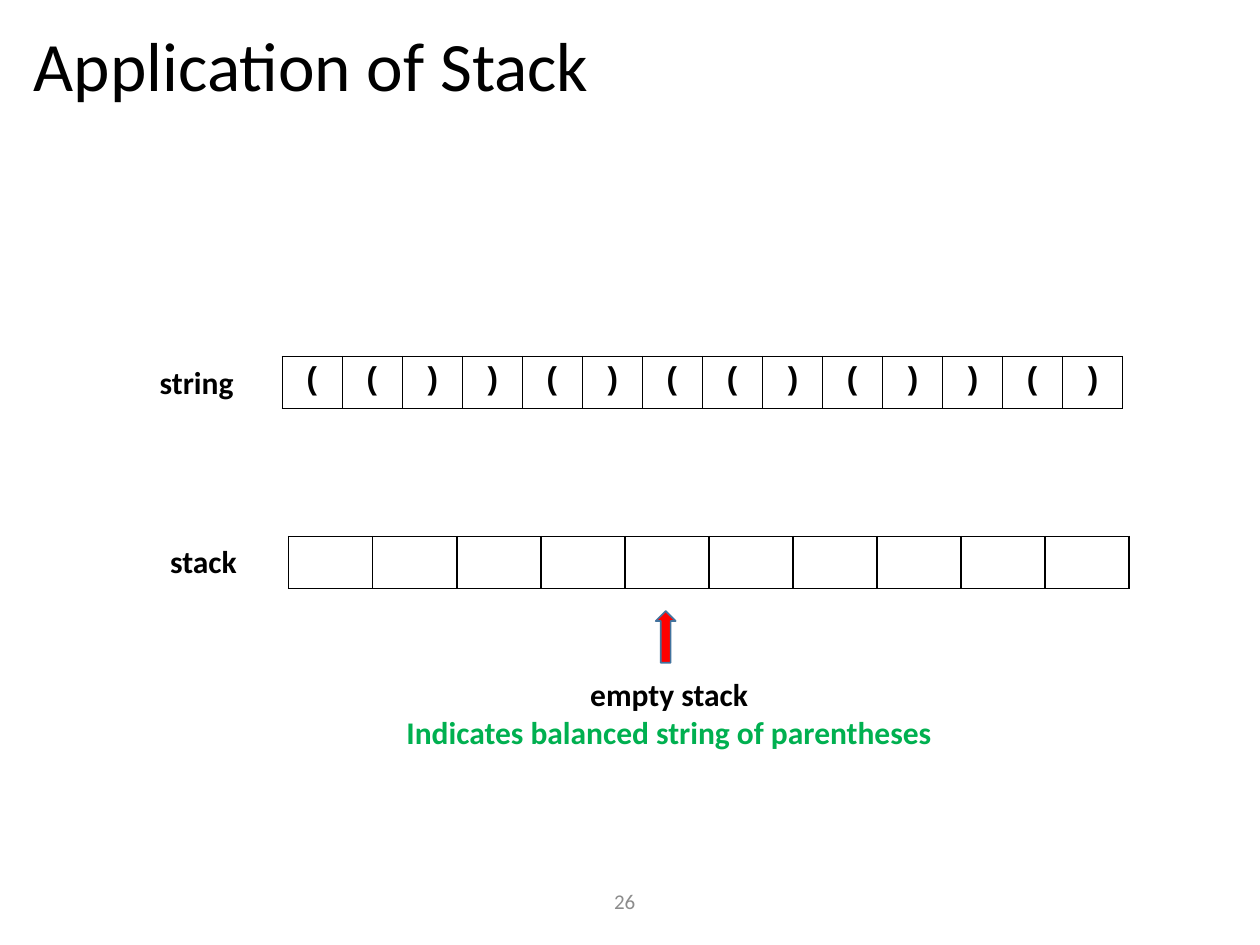
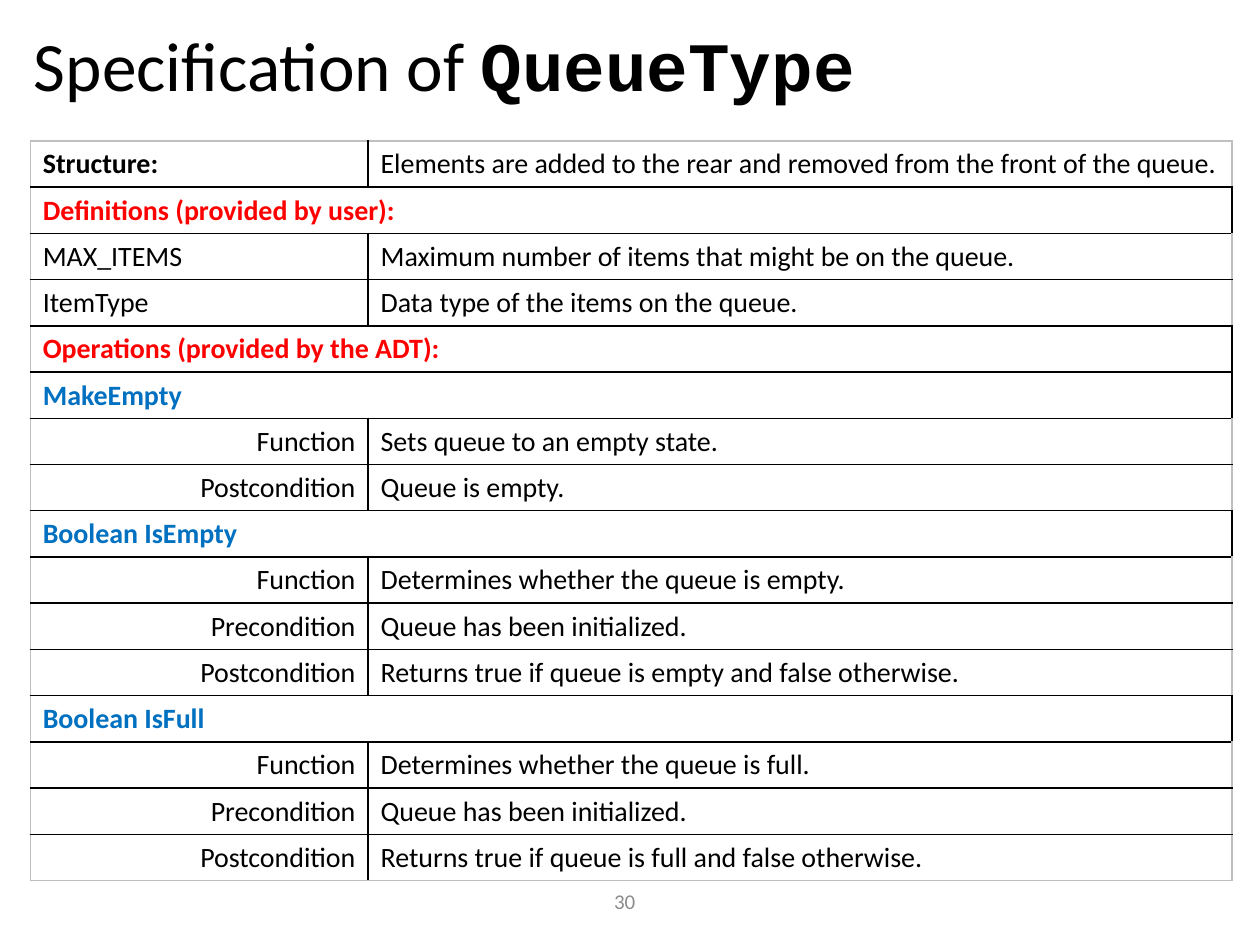
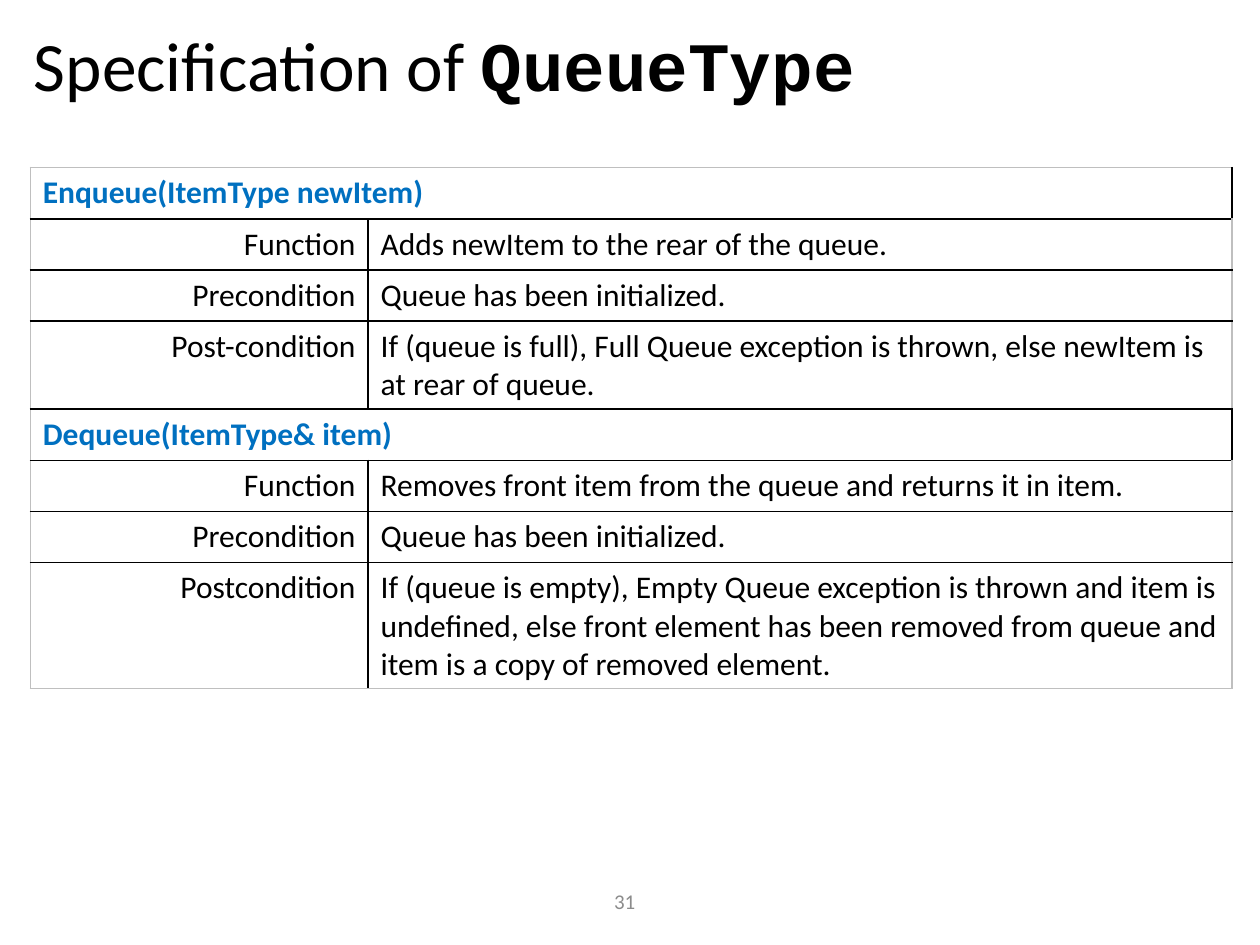
from dataclasses import dataclass

from lxml import etree
from pptx import Presentation
from pptx.dml.color import RGBColor
from pptx.enum.shapes import MSO_SHAPE
from pptx.enum.text import MSO_ANCHOR, MSO_AUTO_SIZE, PP_ALIGN
from pptx.oxml.ns import qn
from pptx.util import Cm, Pt

LEFT, CENTER, RIGHT = PP_ALIGN.LEFT, PP_ALIGN.CENTER, PP_ALIGN.RIGHT
TOP, MIDDLE = MSO_ANCHOR.TOP, MSO_ANCHOR.MIDDLE
NO_AUTOFIT = MSO_AUTO_SIZE.NONE
UP_ARROW = MSO_SHAPE.UP_ARROW
TITLE_ONLY = 5


@dataclass(frozen=True)
class Theme:
    body_font: str = "Calibri"
    code_font: str = "Courier New"
    black: str = "000000"
    red: str = "FF0000"
    blue: str = "0070C0"
    green: str = "00B050"
    footer_gray: str = "8C8C8C"
    frame_gray: str = "BFBFBF"
    arrow_outline: str = "43739E"
    title_size: float = 39.6
    text_size: int = 18
    compact_size: int = 16
    footer_size: int = 12
    line_width: int = 1


THEME = Theme()

PARENTHESES = "(())()(()())()"
STACK_CAPACITY = 10
ARRAY_WIDTH = 16.94
ARRAY_HEIGHT = 1.04
SPECIFICATION_LEFT = 0.61
SPECIFICATION_COLUMNS = (6.81, 17.42)

DEFINITION_ROWS = [
    ("Structure:", "Elements are added to the rear and removed from the front of the queue."),
    ("Definitions (provided by user):", None),
    ("MAX_ITEMS", "Maximum number of items that might be on the queue."),
    ("ItemType", "Data type of the items on the queue."),
    ("Operations (provided by the ADT):", None),
    ("MakeEmpty", None),
    ("Function", "Sets queue to an empty state."),
    ("Postcondition", "Queue is empty."),
    ("Boolean IsEmpty", None),
    ("Function", "Determines whether the queue is empty."),
    ("Precondition", "Queue has been initialized."),
    ("Postcondition", "Returns true if queue is empty and false otherwise."),
    ("Boolean IsFull", None),
    ("Function", "Determines whether the queue is full."),
    ("Precondition", "Queue has been initialized."),
    ("Postcondition", "Returns true if queue is full and false otherwise."),
]

OPERATION_ROWS = [
    ("Enqueue(ItemType newItem)", None),
    ("Function", "Adds newItem to the rear of the queue."),
    ("Precondition", "Queue has been initialized."),
    ("Post-condition", "If (queue is full), Full Queue exception is thrown, "
     "else newItem is at rear of queue."),
    ("Dequeue(ItemType& item)", None),
    ("Function", "Removes front item from the queue and returns it in item."),
    ("Precondition", "Queue has been initialized."),
    ("Postcondition", "If (queue is empty), Empty Queue exception is thrown and item is "
     "undefined, else front element has been removed from queue and item is a copy of "
     "removed element."),
]

CONDITION_LABELS = {"Function", "Precondition", "Postcondition", "Post-condition"}


def format_paragraph(paragraph, size, color=THEME.black, bold=False,
                     alignment=LEFT, font_name=THEME.body_font):
    paragraph.alignment = alignment
    paragraph.font.name = font_name
    paragraph.font.size = Pt(size)
    paragraph.font.bold = bold
    paragraph.font.color.rgb = RGBColor.from_string(color)


def add_text(slide, box, lines, size=THEME.text_size, bold=True,
             alignment=LEFT, anchor=TOP):
    frame = slide.shapes.add_textbox(*map(Cm, box)).text_frame
    frame.word_wrap = True
    frame.vertical_anchor = anchor
    frame.text = "\n".join(text for text, _ in lines)
    for paragraph, (_, color) in zip(frame.paragraphs, lines):
        format_paragraph(paragraph, size, color, bold, alignment)


def add_titled_slide(presentation, number, title, code=""):
    slide = presentation.slides.add_slide(presentation.slide_layouts[TITLE_ONLY])
    shape = slide.shapes.title
    shape.left, shape.top, shape.width, shape.height = map(Cm, (0.43, 0.46, 24.43, 1.88))
    shape.text_frame.auto_size = NO_AUTOFIT
    shape.text_frame.vertical_anchor = MIDDLE
    paragraph = shape.text_frame.paragraphs[0]
    format_paragraph(paragraph, THEME.title_size)
    paragraph.line_spacing = 0.9
    paragraph.add_run().text = title
    if code:
        run = paragraph.add_run()
        run.text = code
        run.font.name = THEME.code_font
        run.font.bold = True
    add_text(slide, (6.65, 17.65, 11.89, 1.02), [(str(number), THEME.footer_gray)],
             THEME.footer_size, False, CENTER, MIDDLE)
    return slide


def set_borders(cell, colors):
    properties = cell._tc.get_or_add_tcPr()
    for position, (side, color) in enumerate(zip("LRTB", colors)):
        line = etree.Element(qn(f"a:ln{side}"), w=str(Pt(THEME.line_width)))
        fill = etree.SubElement(line, qn("a:solidFill"))
        etree.SubElement(fill, qn("a:srgbClr"), val=color)
        properties.insert(position, line)


def add_grid(slide, left, top, column_widths, row_count, row_height, frame_color):
    column_count = len(column_widths)
    table = slide.shapes.add_table(
        row_count, column_count, Cm(left), Cm(top),
        Cm(sum(column_widths)), Cm(row_height * row_count)).table
    table.first_row = table.horz_banding = False
    for column, width in zip(table.columns, column_widths):
        column.width = Cm(width)
    for row_index, row in enumerate(table.rows):
        row.height = Cm(row_height)
        for column_index, cell in enumerate(row.cells):
            cell.fill.background()
            on_frame = (column_index == 0, column_index == column_count - 1,
                        row_index == 0, row_index == row_count - 1)
            set_borders(cell, [frame_color if edge else THEME.black for edge in on_frame])
    return table


def fill_cell(cell, text, size, **style):
    cell.text = text
    format_paragraph(cell.text_frame.paragraphs[0], size, **style)


def add_array(slide, left, top, items):
    widths = [ARRAY_WIDTH / len(items)] * len(items)
    table = add_grid(slide, left, top, widths, 1, ARRAY_HEIGHT, THEME.black)
    for cell, item in zip(table.rows[0].cells, items):
        fill_cell(cell, item, THEME.text_size, bold=True, alignment=CENTER,
                  font_name=THEME.code_font)


def add_specification(slide, top, rows, size, row_height):
    table = add_grid(slide, SPECIFICATION_LEFT, top, SPECIFICATION_COLUMNS,
                     len(rows), row_height, THEME.frame_gray)
    for row, (label, description) in zip(table.rows, rows):
        label_cell, description_cell = row.cells
        if description is None:
            label_cell.merge(description_cell)
            color = THEME.red if "provided by" in label else THEME.blue
            fill_cell(label_cell, label, size, color=color, bold=True)
        else:
            alignment = RIGHT if label in CONDITION_LABELS else LEFT
            fill_cell(label_cell, label, size, bold=label.endswith(":"),
                      alignment=alignment)
            fill_cell(description_cell, description, size)


def add_up_arrow(slide, box):
    arrow = slide.shapes.add_shape(UP_ARROW, *map(Cm, box))
    arrow.shadow.inherit = False
    arrow.fill.solid()
    arrow.fill.fore_color.rgb = RGBColor.from_string(THEME.red)
    arrow.line.color.rgb = RGBColor.from_string(THEME.arrow_outline)
    arrow.line.width = Pt(THEME.line_width)


def build_stack_slide(presentation):
    slide = add_titled_slide(presentation, 26, "Application of Stack")
    add_array(slide, 5.69, 7.19, PARENTHESES)
    add_array(slide, 5.82, 10.82, [""] * STACK_CAPACITY)
    add_text(slide, (2.97, 7.19, 2.36, 1.02), [("string", THEME.black)])
    add_text(slide, (3.18, 10.8, 2.26, 1.02), [("stack", THEME.black)])
    add_up_arrow(slide, (13.22, 12.32, 0.4, 1.04))
    add_text(slide, (6.96, 13.49, 13.06, 1.8),
             [("empty stack", THEME.black),
              ("Indicates balanced string of parentheses", THEME.green)],
             alignment=CENTER)


def build_specification_slide(presentation, number, top, rows, size, row_height):
    slide = add_titled_slide(presentation, number, "Specification of ", "QueueType")
    add_specification(slide, top, rows, size, row_height)


def main():
    presentation = Presentation()
    presentation.slide_width, presentation.slide_height = Cm(25.4), Cm(19.05)
    build_stack_slide(presentation)
    build_specification_slide(presentation, 30, 2.84, DEFINITION_ROWS,
                              THEME.compact_size, 0.93)
    build_specification_slide(presentation, 31, 3.38, OPERATION_ROWS,
                              THEME.text_size, 1.03)
    presentation.save("out.pptx")


if __name__ == "__main__":
    main()
